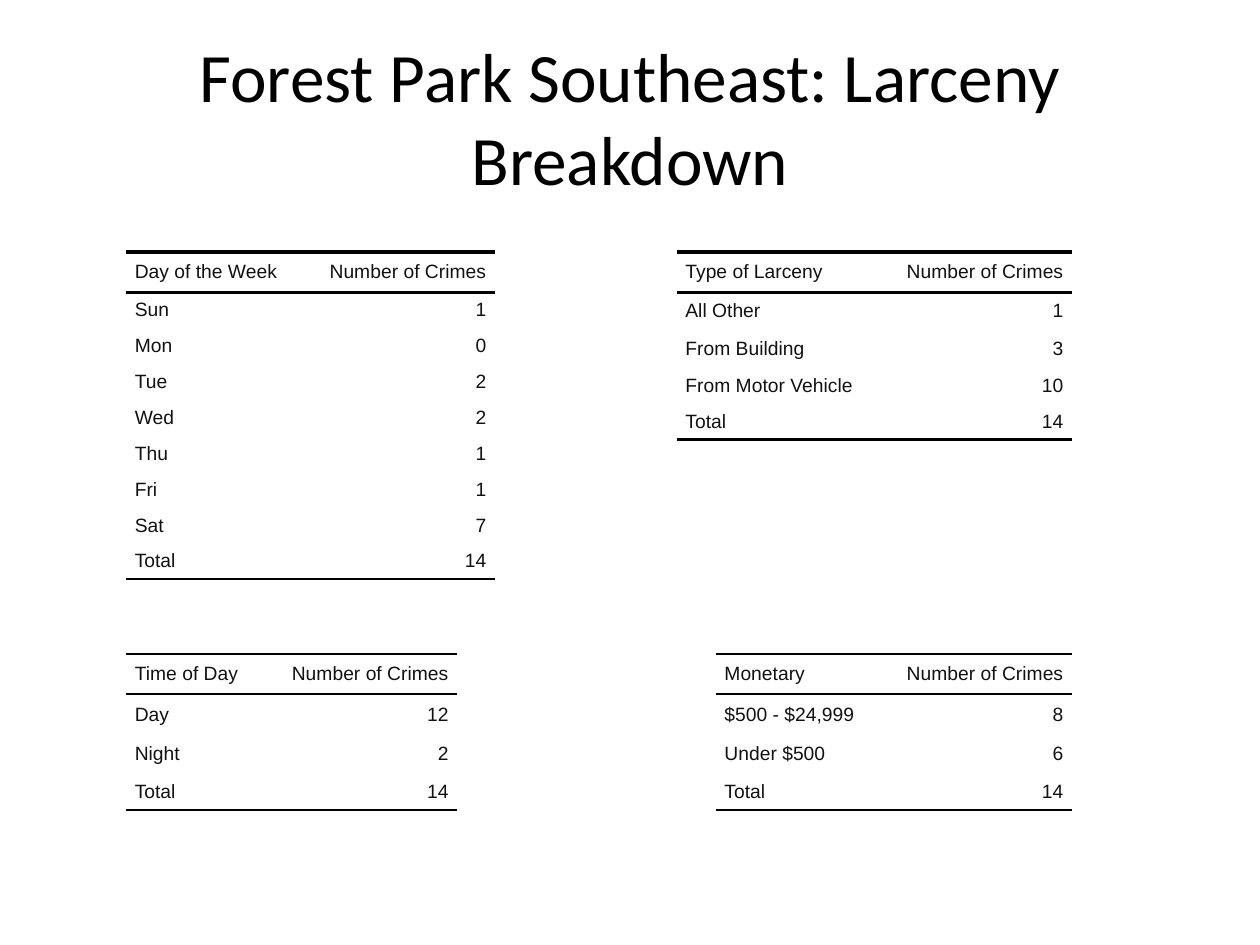
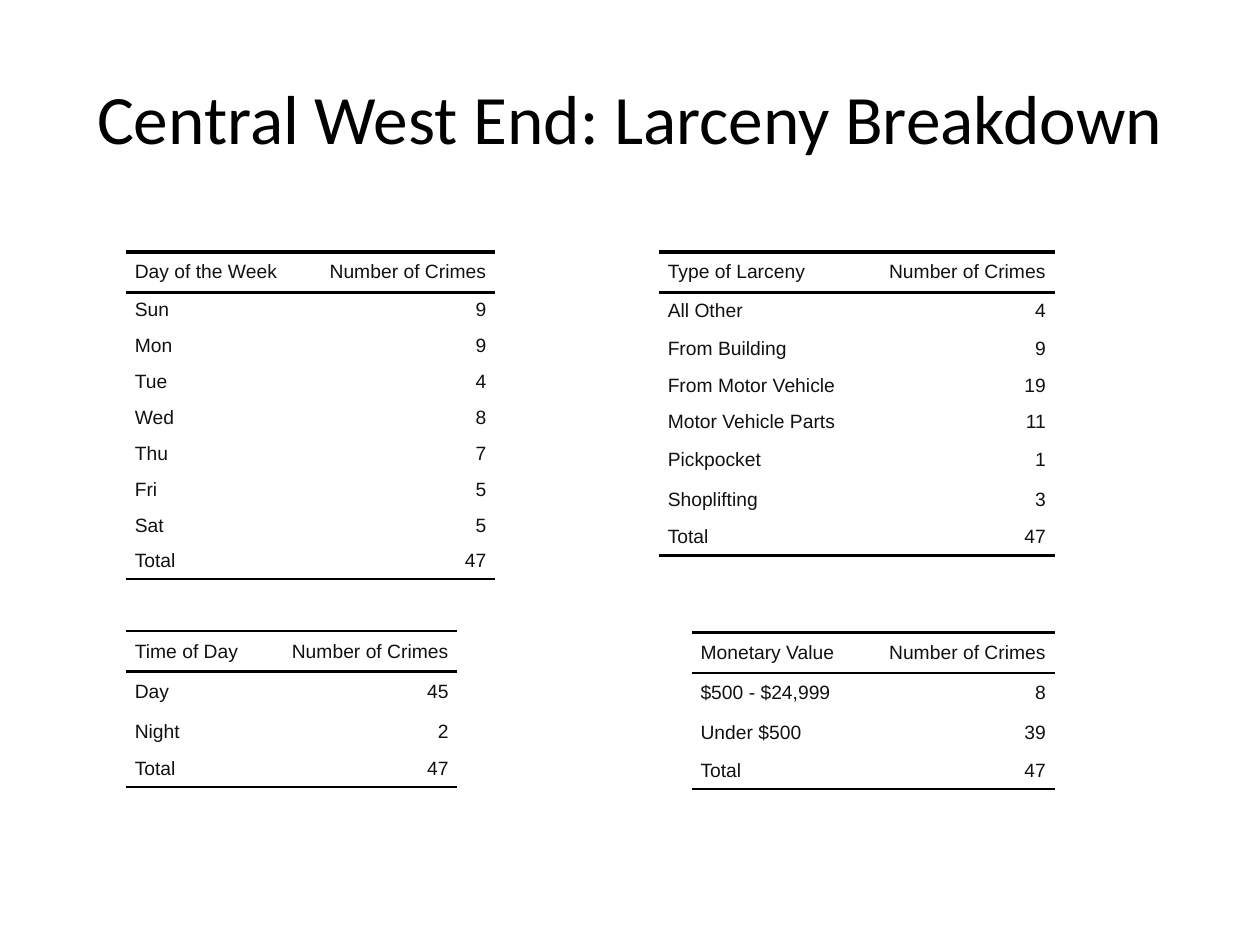
from dataclasses import dataclass

from lxml.etree import SubElement
from pptx import Presentation
from pptx.dml.color import RGBColor
from pptx.enum.text import MSO_ANCHOR, PP_ALIGN
from pptx.oxml.ns import qn
from pptx.util import Inches, Pt

BLACK = "000000"
CELL_TEXT = "111111"
COUNT_HEADING = "Number of Crimes"
COUNT_WIDTH = 1.52
HEADER_HEIGHT = 0.32
LEFT_EDGE = 1
TOP_ROW = 2
THICK, THIN = 2.25, 1.5


@dataclass
class Breakdown:
    heading: str
    label_width: float
    labels: list[str]
    heights: list[float]
    header_rule: float


@dataclass
class Placement:
    breakdown: Breakdown
    left: float
    top: float
    counts: list[int]


@dataclass
class Neighborhood:
    title: str
    placements: list[Placement]


def color(value: str) -> RGBColor:
    return RGBColor.from_string(value)


def beside(breakdown: Breakdown, right: float) -> float:
    return right - breakdown.label_width - COUNT_WIDTH


def add_run(p, text: str, font: str, size: float, value: str, align) -> None:
    p.alignment = align
    r = p.add_run()
    r.text = text
    r.font.name = font
    r.font.size = Pt(size)
    r.font.color.rgb = color(value)


def add_title(s, text: str) -> None:
    tf = s.shapes.add_textbox(Inches(0.5), Inches(0.3), Inches(9), Inches(1.25)).text_frame
    tf.word_wrap = True
    tf.vertical_anchor = MSO_ANCHOR.MIDDLE
    add_run(tf.paragraphs[0], text, "Calibri", 39.6, BLACK, PP_ALIGN.CENTER)


def set_borders(cell, top: float, bottom: float) -> None:
    tc_pr = cell._tc.get_or_add_tcPr()
    for tag, width in (("a:lnL", 0), ("a:lnR", 0), ("a:lnT", top), ("a:lnB", bottom)):
        ln = SubElement(tc_pr, qn(tag), w=str(Pt(width)))
        if width:
            fill = SubElement(ln, qn("a:solidFill"))
            SubElement(fill, qn("a:srgbClr"), val=BLACK)
        else:
            SubElement(ln, qn("a:noFill"))


def fill_cell(cell, text: str, align, top: float, bottom: float) -> None:
    cell.margin_left = cell.margin_right = Inches(0.07)
    cell.margin_top = cell.margin_bottom = 0
    cell.vertical_anchor = MSO_ANCHOR.MIDDLE
    set_borders(cell, top, bottom)
    cell.fill.background()
    add_run(cell.text_frame.paragraphs[0], text, "Arial", 11, CELL_TEXT, align)


def add_breakdown(s, placement: Placement) -> None:
    b = placement.breakdown
    rows = [(b.heading, COUNT_HEADING)]
    rows += [(label, str(count)) for label, count in zip(b.labels, placement.counts)]
    heights = [HEADER_HEIGHT] + b.heights
    widths = (b.label_width, COUNT_WIDTH)
    table = s.shapes.add_table(
        len(rows), 2, Inches(placement.left), Inches(placement.top),
        Inches(sum(widths)), Inches(sum(heights)),
    ).table
    table.first_row = table.horz_banding = False
    for column, width in zip(table.columns, widths):
        column.width = Inches(width)
    last = len(rows) - 1
    for i, (row, height) in enumerate(zip(rows, heights)):
        table.rows[i].height = Inches(height)
        top = b.header_rule if i < 2 else 0
        bottom = {0: b.header_rule, last: THIN}.get(i, 0)
        for j, align in enumerate((PP_ALIGN.LEFT, PP_ALIGN.RIGHT)):
            fill_cell(table.cell(i, j), row[j], align, top, bottom)


DAYS = Breakdown(
    "Day of the Week", 1.41,
    ["Sun", "Mon", "Tue", "Wed", "Thu", "Fri", "Sat", "Total"],
    [(2.6 - HEADER_HEIGHT) / 8] * 8, THICK,
)
TIMES = Breakdown("Time of Day", 1.11, ["Day", "Night", "Total"], [0.32, 0.31, 0.29], THIN)
TYPES = Breakdown(
    "Type of Larceny", 1.62,
    ["All Other", "From Building", "From Motor Vehicle", "Total"],
    [0.29, 0.31, 0.29, 0.28], THICK,
)
ALL_TYPES = Breakdown(
    TYPES.heading, TYPES.label_width,
    TYPES.labels[:-1] + ["Motor Vehicle Parts", "Pickpocket", "Shoplifting", "Total"],
    [0.29, 0.31, 0.29, 0.28, 0.32, 0.31, 0.29], THICK,
)
AMOUNTS = ["$500 - $24,999", "Under $500", "Total"]
MONETARY = Breakdown("Monetary", 1.31, AMOUNTS, TIMES.heights, THIN)
MONETARY_VALUE = Breakdown("Monetary Value", 1.36, AMOUNTS, TIMES.heights, THIN)

NEIGHBORHOODS = [
    Neighborhood("Forest Park Southeast: Larceny Breakdown", [
        Placement(DAYS, LEFT_EDGE, TOP_ROW, [1, 0, 2, 2, 1, 1, 7, 14]),
        Placement(TIMES, LEFT_EDGE, 5.19, [12, 2, 14]),
        Placement(TYPES, beside(TYPES, 8.51), TOP_ROW, [1, 3, 10, 14]),
        Placement(MONETARY, beside(MONETARY, 8.51), 5.19, [8, 6, 14]),
    ]),
    Neighborhood("Central West End: Larceny Breakdown", [
        Placement(DAYS, LEFT_EDGE, TOP_ROW, [9, 9, 4, 8, 7, 5, 5, 47]),
        Placement(TIMES, LEFT_EDGE, 5.01, [45, 2, 47]),
        Placement(ALL_TYPES, beside(ALL_TYPES, 8.37), TOP_ROW, [4, 9, 19, 11, 1, 3, 47]),
        Placement(MONETARY_VALUE, beside(MONETARY_VALUE, 8.37), 5.02, [8, 39, 47]),
    ]),
]


def main() -> None:
    prs = Presentation()
    prs.slide_width, prs.slide_height = Inches(10), Inches(7.5)
    for neighborhood in NEIGHBORHOODS:
        s = prs.slides.add_slide(prs.slide_layouts[6])
        add_title(s, neighborhood.title)
        for placement in neighborhood.placements:
            add_breakdown(s, placement)
    prs.save("out.pptx")


if __name__ == "__main__":
    main()
